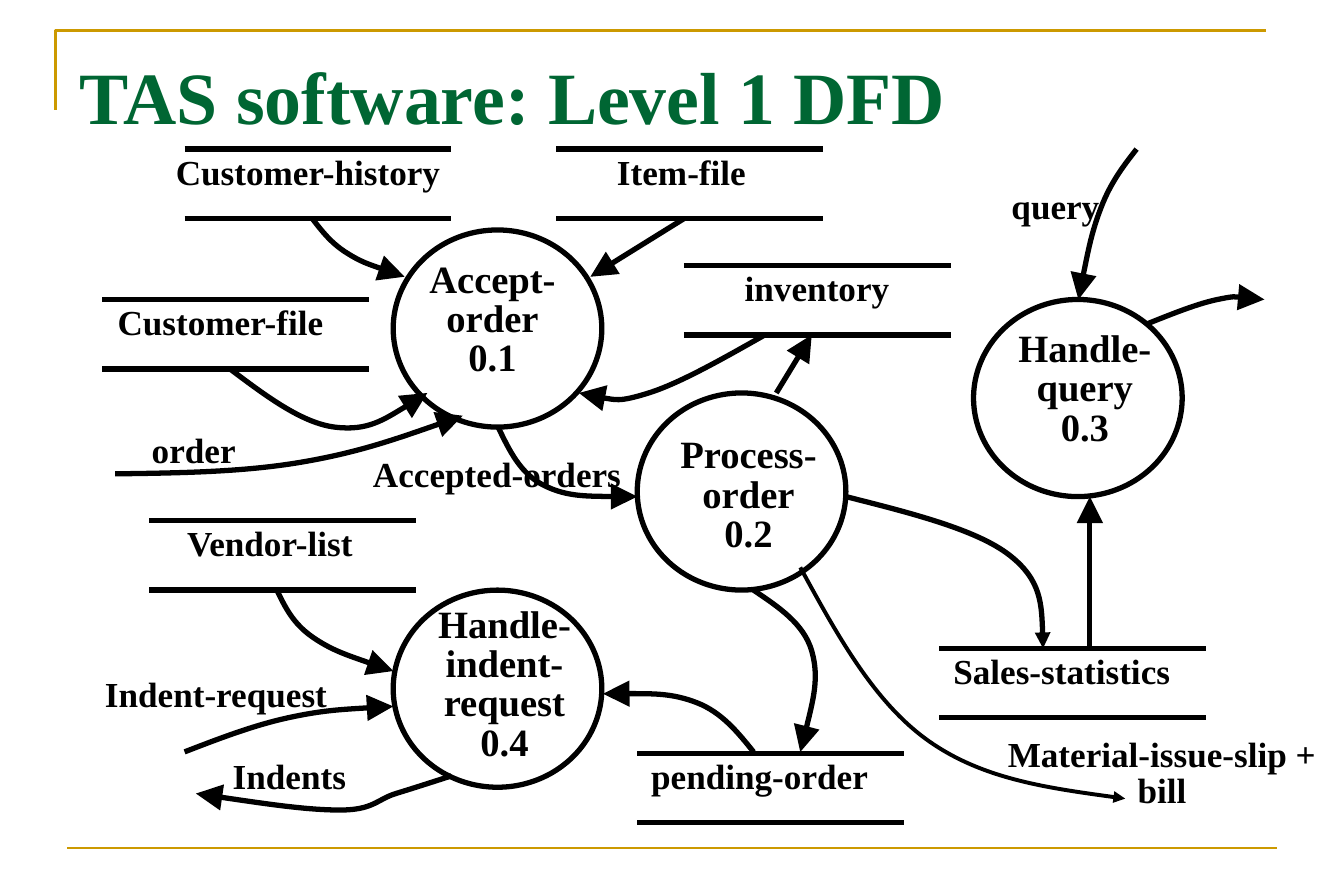
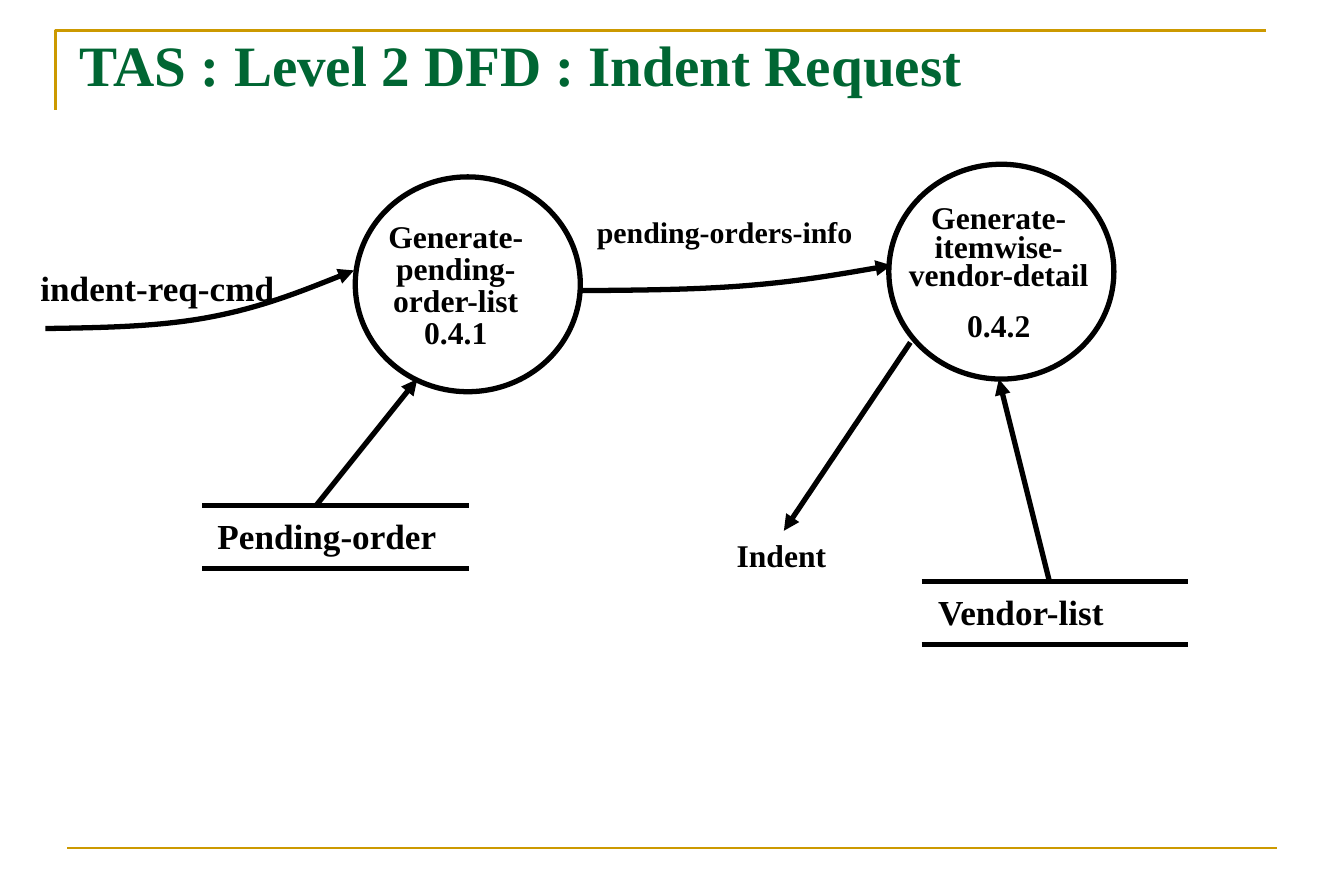
from pptx import Presentation
from pptx.dml.color import RGBColor
from pptx.enum.shapes import MSO_CONNECTOR, MSO_SHAPE
from pptx.enum.text import MSO_ANCHOR, MSO_AUTO_SIZE, PP_ALIGN
from pptx.oxml.xmlchemy import OxmlElement
from pptx.util import Inches, Pt

THEME = {
    "font": "Times New Roman",
    "title": RGBColor.from_string("006633"),
    "ink": RGBColor.from_string("000000"),
    "rule": RGBColor.from_string("CC9900"),
    "rule_width": 1.5,
    "stroke": 3,
    "thin_stroke": 2.25,
    "label": 20,
    "spacing": 0.85,
    "paragraph_gap": 12.6,
    "title_box": (0.53, 0.29, 9.57, 0.67),
    "side_inset": 0.02,
    "top_inset": 0.06,
}
STORE_WIDTH = 2.11
LABEL_SIZE = (2.48, 0.44)
PROCESS_LABEL_HEIGHT = 1.21
BRACKET = [(0.44, 0.87), (0.44, 0.24), (10.01, 0.24)]
FOOT_RULE = [(0.53, 6.71), (10.1, 6.71)]
BIG, MEDIUM = "lg", "med"

# processes: text, left and top of the circle, label drop, label width, format
# stores: text, left, top, label shift
# labels: text, left, top, format
# flows: knots (two for a straight arrow, more for a curve), format
DIAGRAMS = [
    {
        "title": "TAS software: Level 1 DFD",
        "title_format": {"size": 42, "top": 0.11, "spacing": 1.0},
        "circle": (1.65, 1.56),
        "process_size": 22,
        "process_shift": 0.19,
        "store_height": 0.55,
        "store_drop": 0,
        "arrowhead": BIG,
        "processes": [
            ("Accept-order\n0.1", 3.11, 1.82, 0.19, 1.19, {}),
            ("Process-order\n0.2", 5.04, 3.11, 0.29, 1.38, {}),
            ("Handle-query\n0.3", 7.7, 2.37, 0.19, 1.38, {}),
            ("Handle-indent-request\n0.4", 3.11, 4.67, 0.07, 1.38, {}),
        ],
        "stores": [
            ("Customer-history", 1.46, 1.18, -0.09),
            ("Item-file", 4.4, 1.18, 0.46),
            ("inventory", 5.41, 2.1, 0.46),
            ("Customer-file", 0.81, 2.37, 0.1),
            ("Vendor-list", 1.18, 4.12, 0.28),
            ("Sales-statistics", 7.43, 5.13, 0.09),
            ("pending-order", 5.04, 5.96, 0.09),
        ],
        "labels": [
            ("query", 7.98, 1.45, {}),
            ("order", 1.18, 3.38, {}),
            ("Accepted-orders", 2.93, 3.57, {}),
            ("Indent-request", 0.81, 5.31, {}),
            ("Indents", 1.82, 5.96, {}),
            ("Material-issue-slip + bill", 7.95, 5.79, {"align": PP_ALIGN.CENTER}),
        ],
        "flows": [
            ([(2.47, 1.73), (2.74, 2), (3.2, 2.19)], {}),
            ([(5.41, 1.73), (4.67, 2.19)], {}),
            ([(6.05, 2.65), (5.13, 3.11), (4.58, 3.11)], {}),
            ([(1.82, 2.92), (2.65, 3.38), (3.38, 3.11)], {}),
            ([(0.91, 3.75), (2.37, 3.66), (3.66, 3.29)], {}),
            ([(3.94, 3.38), (4.3, 3.84), (5.04, 3.93)], {}),
            ([(6.14, 3.11), (6.42, 2.65)], {}),
            ([(8.99, 1.18), (8.71, 1.64), (8.53, 2.37)], {}),
            ([(9.08, 2.56), (9.63, 2.37), (10, 2.37)], {}),
            ([(8.62, 5.13), (8.62, 3.93)], {}),
            ([(6.69, 3.93), (7.98, 4.39), (8.25, 5.13)], {"head": MEDIUM}),
            ([(6.33, 4.49), (7.34, 5.86), (8.9, 6.32)],
             {"head": MEDIUM, "width": THEME["thin_stroke"]}),
            ([(5.96, 4.67), (6.42, 5.15), (6.33, 5.95)], {}),
            ([(5.96, 5.95), (5.51, 5.56), (4.77, 5.49)], {}),
            ([(2.19, 4.67), (2.47, 5.04), (3.11, 5.31)], {}),
            ([(1.46, 5.95), (2.28, 5.68), (3.11, 5.59)], {}),
            ([(3.57, 6.14), (3.13, 6.28), (2.69, 6.41), (1.55, 6.28)], {}),
        ],
    },
    {
        "title": "TAS : Level 2 DFD : Indent Request",
        "title_format": {"size": 32.5, "top": 0.05, "spacing": 0.8},
        "circle": (1.78, 1.7),
        "process_size": 18,
        "process_shift": 0.2,
        "store_height": 0.5,
        "store_drop": 0.06,
        "arrowhead": MEDIUM,
        "processes": [
            ("Generate-pending-order-list\n0.4.1", 2.81, 1.4, 0.3, 1.19, {}),
            ("Generate-itemwise-vendor-detail|0.4.2", 7.03, 1.3, 0.28, 1.6,
             {"spacing": 0.75, "shift": 0.07}),
        ],
        "stores": [
            ("Pending-order", 1.6, 4, 0.1),
            ("Vendor-list", 7.29, 4.6, 0.11),
        ],
        "labels": [
            ("indent-req-cmd", 0.3, 2.1, {}),
            ("pending-orders-info", 4.7, 1.7, {"size": 17, "spacing": 0.75}),
            ("Indent", 4.94, 4.23, {"size": 18, "align": PP_ALIGN.CENTER}),
        ],
        "flows": [
            ([(0.36, 2.6), (1.66, 2.51), (2.8, 2.14)], {}),
            ([(4.6, 2.3), (5.91, 2.26), (7.05, 2.1)], {}),
            ([(2.5, 4), (3.3, 3)], {}),
            ([(7.2, 2.71), (6.2, 4.2)], {}),
            ([(8.3, 4.6), (7.9, 3)], {}),
        ],
    },
]


def inches(values):
    return [Inches(value) for value in values]


def set_all(target, values):
    for name, value in values.items():
        setattr(target, name, value)


def style_line(shape, color=THEME["ink"], width=THEME["stroke"], head=None):
    shape.line.color.rgb = color
    shape.line.width = Pt(width)
    if head:
        end = OxmlElement("a:tailEnd")
        for key, value in {"type": "triangle", "w": head, "len": head}.items():
            end.set(key, value)
        shape.element.xpath(".//a:ln")[0].append(end)


def add_straight(page, points, **line_format):
    start, end = points
    line = page.shapes.add_connector(MSO_CONNECTOR.STRAIGHT, *inches(start + end))
    style_line(line, **line_format)
    line.element.spPr.append(OxmlElement("a:effectLst"))
    return line


def add_outline(page, points, **line_format):
    corners = [inches(point) for point in points]
    builder = page.shapes.build_freeform(*corners[0], scale=1.0)
    builder.add_line_segments(corners[1:], close=False)
    outline = builder.convert_to_shape()
    outline.fill.background()
    outline.shadow.inherit = False
    style_line(outline, **line_format)
    return outline


def midpoint(first, second):
    return tuple((a + b) / 2 for a, b in zip(first, second))


def curve_points(knots):
    """Put two handles between knots: a sixth of the neighbours' span at each
    inner knot, and half way to the nearest handle at both ends."""
    points = []
    for before, knot, after in zip(knots, knots[1:], knots[2:]):
        reach = [(b - a) / 6 for a, b in zip(before, after)]
        points += [tuple(k - r for k, r in zip(knot, reach)), knot,
                   tuple(k + r for k, r in zip(knot, reach))]
    first, last = knots[0], knots[-1]
    return [first, midpoint(first, points[0]), *points, midpoint(points[-1], last), last]


def add_curve(page, knots, **line_format):
    """Draw an outline, then make each three of its segments one cubic curve."""
    curve = add_outline(page, curve_points(knots), **line_format)
    segments = curve.element.xpath(".//a:lnTo")
    for start in range(0, len(segments), 3):
        bend = OxmlElement("a:cubicBezTo")
        segments[start].addprevious(bend)
        for segment in segments[start:start + 3]:
            bend.append(segment[0])
            segment.getparent().remove(segment)
    return curve


def write(frame, text, side=THEME["side_inset"], top=THEME["top_inset"],
          size=THEME["label"], color=THEME["ink"],
          spacing=THEME["spacing"], align=PP_ALIGN.LEFT):
    """Fill a text frame; a bar in the text parts paragraphs."""
    set_all(frame, {"word_wrap": True, "auto_size": MSO_AUTO_SIZE.NONE,
                    "vertical_anchor": MSO_ANCHOR.TOP,
                    "margin_left": Inches(side), "margin_right": Inches(side),
                    "margin_top": Inches(top), "margin_bottom": Inches(top)})
    for index, part in enumerate(text.split("|")):
        para = frame.add_paragraph() if index else frame.paragraphs[0]
        para.text = part
        set_all(para, {"alignment": align, "line_spacing": spacing,
                       "space_before": Pt(THEME["paragraph_gap"] if index else 0)})
        for span in para.runs:
            set_all(span.font, {"name": THEME["font"], "size": Pt(size), "bold": True})
            span.font.color.rgb = color


def add_label(page, text, left, top, area=LABEL_SIZE, **text_format):
    box = page.shapes.add_textbox(*inches((left, top, *area)))
    write(box.text_frame, text, **text_format)


def add_process(page, diagram, text, left, top, drop, width, text_format):
    circle = page.shapes.add_shape(MSO_SHAPE.OVAL, *inches((left, top, *diagram["circle"])))
    circle.fill.background()
    circle.shadow.inherit = False
    style_line(circle)
    settings = {"shift": diagram["process_shift"], "size": diagram["process_size"],
                "align": PP_ALIGN.CENTER, **text_format}
    shift = settings.pop("shift")
    add_label(page, text, left + shift, top + drop, (width, PROCESS_LABEL_HEIGHT), **settings)


def add_store(page, diagram, text, left, top, shift):
    for y in (top, top + diagram["store_height"]):
        add_straight(page, [(left, y), (left + STORE_WIDTH, y)])
    add_label(page, text, left + shift, top + diagram["store_drop"])


def prepare_layout(layout, page):
    """Place the title and hand the frame rules, drawn on a page, to the layout."""
    area = dict(zip(("left", "top", "width", "height"), inches(THEME["title_box"])))
    set_all(layout.placeholders[0], area)
    rule = {"color": THEME["rule"], "width": THEME["rule_width"]}
    frame = [add_outline(page, BRACKET, **rule), add_straight(page, FOOT_RULE, **rule)]
    for number, part in enumerate(frame, start=101):
        part.element.xpath(".//p:cNvPr")[0].set("id", str(number))
        layout.shapes.element.append(part.element)


def draw_diagram(page, diagram):
    write(page.shapes.title.text_frame, diagram["title"], side=0.1,
          color=THEME["title"], **diagram["title_format"])
    for process in diagram["processes"]:
        add_process(page, diagram, *process)
    for store in diagram["stores"]:
        add_store(page, diagram, *store)
    for knots, line_format in diagram["flows"]:
        draw = add_straight if len(knots) == 2 else add_curve
        draw(page, knots, **{"head": diagram["arrowhead"], **line_format})
    for text, left, top, text_format in diagram["labels"]:
        add_label(page, text, left, top, **text_format)


def main():
    deck = Presentation()
    set_all(deck, {"slide_width": Inches(10.63), "slide_height": Inches(7.09)})
    layout = deck.slide_layouts[5]
    pages = [deck.slides.add_slide(layout) for _ in DIAGRAMS]
    prepare_layout(layout, pages[0])
    for page, diagram in zip(pages, DIAGRAMS):
        draw_diagram(page, diagram)
    deck.save("out.pptx")


if __name__ == "__main__":
    main()
